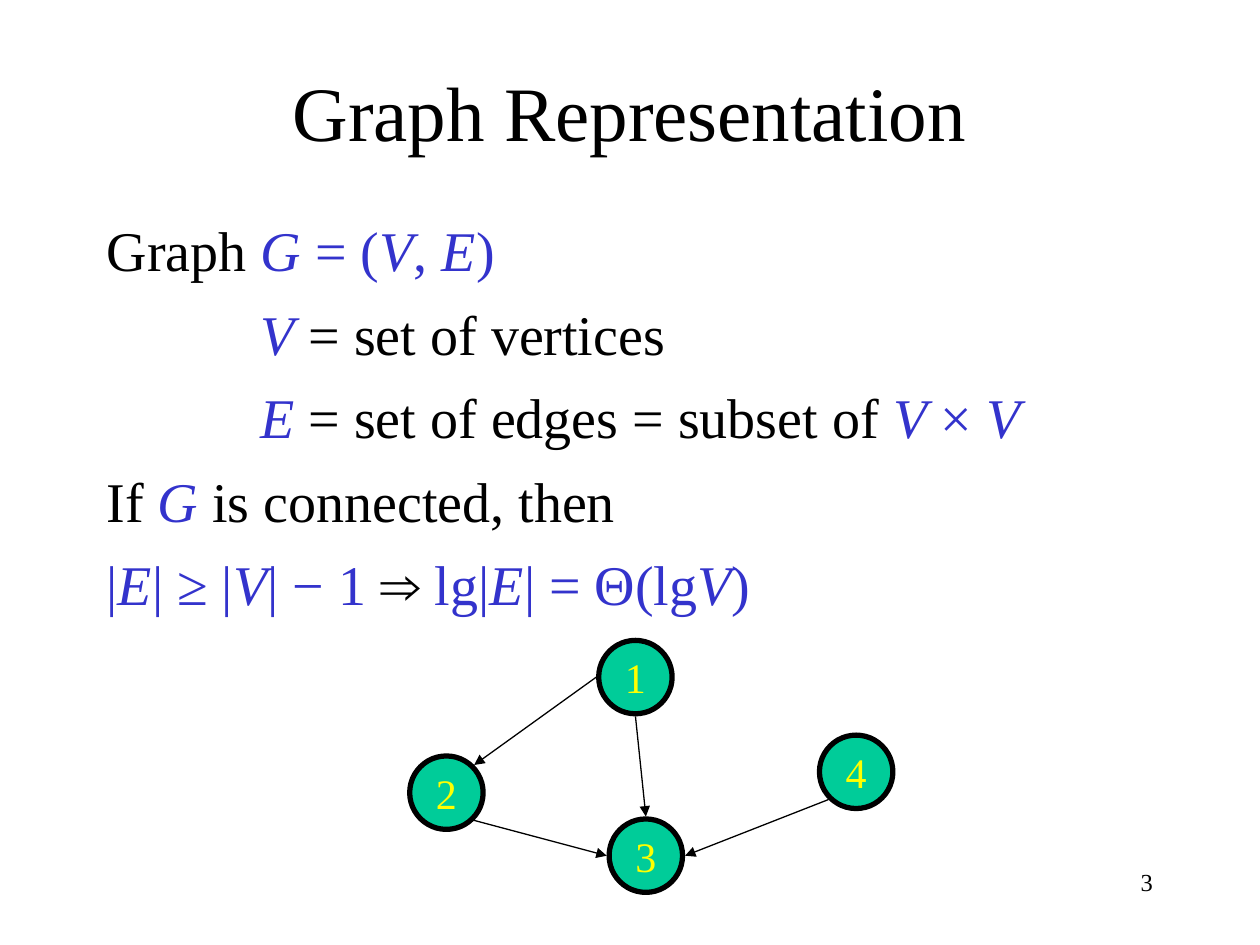
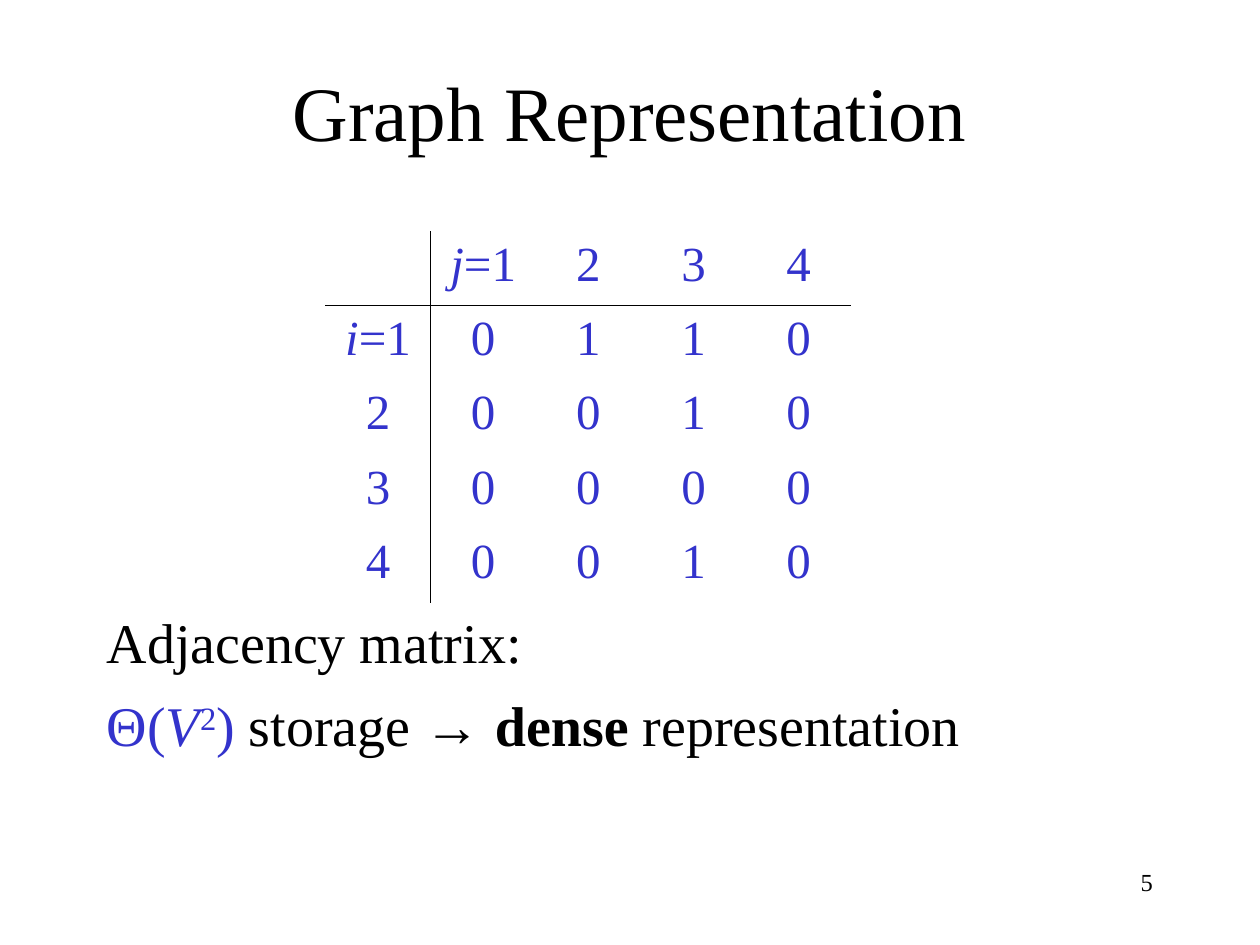
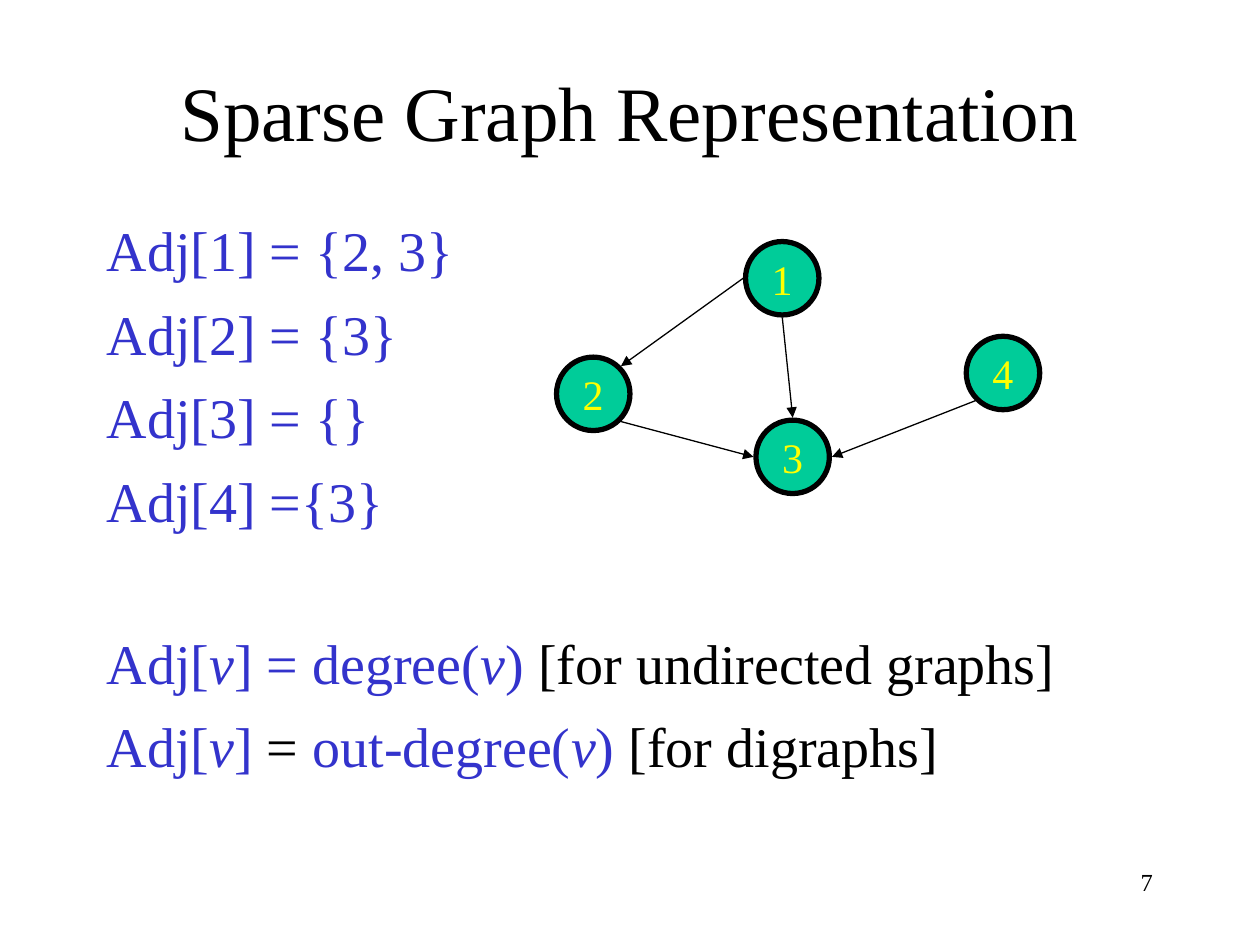
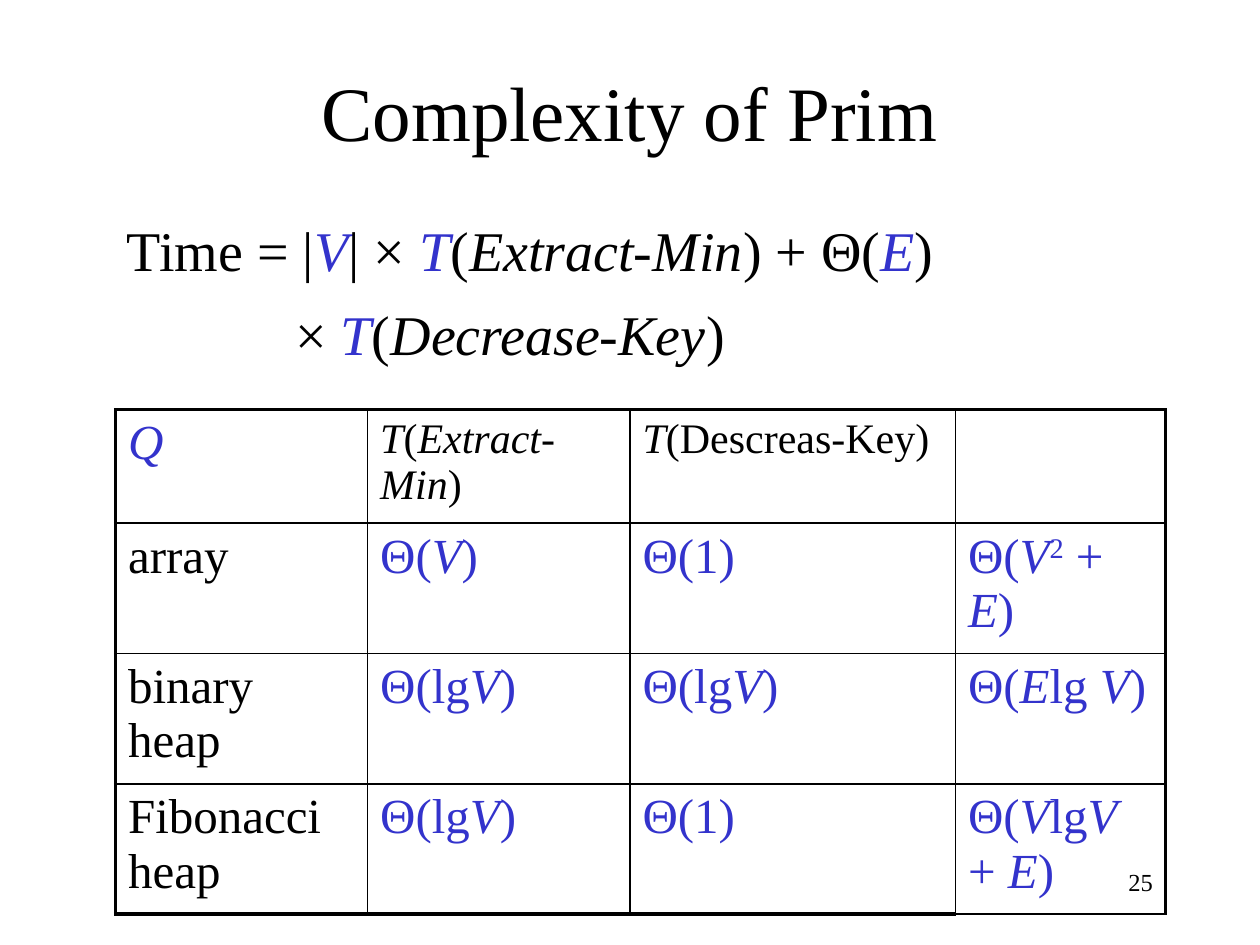
from itertools import groupby
from math import cos, radians, sin

from lxml import etree
from pptx import Presentation
from pptx.dml.color import RGBColor
from pptx.enum.shapes import MSO_CONNECTOR, MSO_SHAPE
from pptx.enum.text import MSO_ANCHOR, PP_ALIGN
from pptx.oxml import parse_xml
from pptx.oxml.ns import nsdecls, qn
from pptx.util import Cm, Pt

FONT = "Times New Roman"
BLACK, BLUE, GREEN, YELLOW = "000000", "3333CC", "00CC99", "FFFF00"
LINE_GAP = 9.3  # points between body lines
SKIPPED_LINE = 54

# Markup in texts: *italic*  ~blue~  #bold#  ^superscript^
# Body line: (text, indent in cm, space before in points)
DEFINITION = [
    ("Graph ~*G* = (*V*, *E*)~", 0, 0),
    ("~*V*~ = set of vertices", 3.1, LINE_GAP),
    ("~*E*~ = set of edges = subset of ~*V *× *V*~", 3.1, LINE_GAP),
    ("If ~*G*~ is connected, then", 0, LINE_GAP),
    ("~|*E*| ≥ |*V*| − 1~ ⇒ ~lg|*E*| = Θ(lg*V*)~", 0, LINE_GAP),
]
STORAGE = [
    ("Adjacency matrix:", 0, 0),
    ("~Θ(*V*^2^)~ storage → #dense# representation", 0, LINE_GAP),
]
ADJACENCY_LISTS = [
    ("~Adj[1] = {2, 3}~", 0, 0),
    ("~Adj[2] = {3}~", 0, LINE_GAP),
    ("~Adj[3] = {}~", 0, LINE_GAP),
    ("~Adj[4] ={3}~", 0, LINE_GAP),
    ("~Adj[*v*] = degree(*v*)~ [for undirected graphs]", 0, SKIPPED_LINE),
    ("~Adj[*v*]~ = ~out-degree(*v*)~ [for digraphs]", 0, LINE_GAP),
]
PRIM_TIME = [
    ("Time = |~*V*~| × ~*T*~(*Extract-Min*) + Θ(~*E*~)", 0, 0),
    ("× ~*T*~(*Decrease-Key*)", 3.39, LINE_GAP),
]

# Node offsets from node 1; edges run from (node, side) to (node, side)
NODES = {"1": (0, 0), "3": (0.21, 3.6), "2": (-3.81, 2.33), "4": (4.45, 1.91)}
EDGES = [("1", "W", "2", "NE"), ("2", "SE", "3", "W"),
         ("1", "S", "3", "N"), ("4", "SW", "3", "E")]
SIDE_ANGLES = {side: 45 * i for i, side in
               enumerate(["E", "SE", "S", "SW", "W", "NW", "N", "NE"])}
NODE_SIZE, EDGE_REACH = 1.48, 0.79

MATRIX = [
    ["", "*j*=1", "2", "3", "4"],
    ["*i*=1", "0", "1", "1", "0"],
    ["2", "0", "0", "1", "0"],
    ["3", "0", "0", "0", "0"],
    ["4", "0", "0", "1", "0"],
]
QUEUES = [
    ["~*Q*~", "*T*(*Extract-Min*)", "*T*(Descreas-Key)", ""],
    ["array", "~Θ(*V*)~", "~Θ(1)~", "~Θ(*V*^2^ + *E*)~"],
    ["binary heap", "~Θ(lg*V*)~", "~Θ(lg*V*)~", "~Θ(*E*lg *V*)~"],
    ["Fibonacci heap", "~Θ(lg*V*)~", "~Θ(1)~", "~Θ(*V*lg*V *+ *E*)~"],
]


def rgb(code):
    return RGBColor.from_string(code)


def styled_pieces(text):
    """Yield (piece, active marks) for marked-up text."""
    active, letters = frozenset(), []
    for letter in text:
        if letter in "*~#^":
            active = active ^ {letter}
        else:
            letters.append((letter, active))
    for marks, group in groupby(letters, key=lambda item: item[1]):
        yield "".join(letter for letter, _ in group), marks


def write(paragraph, text, size=32, color=BLACK, align=PP_ALIGN.LEFT,
          indent=0, before=0):
    paragraph.alignment = align
    paragraph.space_before = Pt(before)
    if indent:
        paragraph._p.get_or_add_pPr().set("marL", str(Cm(indent)))
    for piece, marks in styled_pieces(text):
        run = paragraph.add_run()
        run.text = piece
        font = run.font
        font.name, font.size = FONT, Pt(size)
        font.color.rgb = rgb(BLUE if "~" in marks else color)
        font.italic, font.bold = "*" in marks, "#" in marks
        if "^" in marks:
            run._r.get_or_add_rPr().set("baseline", "30000")


def add_text(slide, box, lines, anchor=MSO_ANCHOR.TOP, **style):
    frame = slide.shapes.add_textbox(*map(Cm, box)).text_frame
    frame.word_wrap, frame.vertical_anchor = True, anchor
    for i, (text, indent, before) in enumerate(lines):
        paragraph = frame.add_paragraph() if i else frame.paragraphs[0]
        write(paragraph, text, indent=indent, before=before, **style)


def add_slide(deck, title, number, body, left=1.9, top=4.23):
    slide = deck.slides.add_slide(deck.slide_layouts[6])
    add_text(slide, (18.2, 17.36, 5.29, 1.27), [(number, 0, 0)],
             size=14, align=PP_ALIGN.RIGHT)
    add_text(slide, (1.9, 0.64, 21.59, 3.18), [(title, 0, 0)],
             anchor=MSO_ANCHOR.MIDDLE, size=44, align=PP_ALIGN.CENTER)
    add_text(slide, (left, top, 21.59, 16.93 - top), body)
    return slide


def add_graph(slide, left, top):
    for label, (dx, dy) in NODES.items():
        node = slide.shapes.add_shape(
            MSO_SHAPE.OVAL, Cm(left + dx), Cm(top + dy), Cm(NODE_SIZE), Cm(NODE_SIZE))
        node.shadow.inherit = False
        node.fill.solid()
        node.fill.fore_color.rgb = rgb(GREEN)
        node.line.color.rgb, node.line.width = rgb(BLACK), Pt(3)
        frame = node.text_frame
        frame.word_wrap, frame.vertical_anchor = False, MSO_ANCHOR.MIDDLE
        write(frame.paragraphs[0], label, size=24, color=YELLOW, align=PP_ALIGN.CENTER)

    def edge_end(label, side):
        dx, dy = NODES[label]
        angle = radians(SIDE_ANGLES[side])
        return (Cm(left + dx + NODE_SIZE / 2 + EDGE_REACH * cos(angle)),
                Cm(top + dy + NODE_SIZE / 2 + EDGE_REACH * sin(angle)))

    for source, source_side, target, target_side in EDGES:
        edge = slide.shapes.add_connector(
            MSO_CONNECTOR.STRAIGHT, *edge_end(source, source_side),
            *edge_end(target, target_side))
        edge.line.color.rgb, edge.line.width = rgb(BLACK), Pt(0.75)
        etree.SubElement(edge.line._get_or_add_ln(), qn("a:tailEnd"), type="triangle")
        etree.SubElement(edge._element.spPr, qn("a:effectLst"))


def set_borders(cell, widths):
    """Draw the sides in widths (L, R, T, B to points) and clear the others."""
    properties = cell._tc.get_or_add_tcPr()
    for side in "LRTB":
        width = widths.get(side, 0)
        paint = (f'<a:solidFill><a:srgbClr val="{BLACK}"/></a:solidFill>'
                 if width else "<a:noFill/>")
        properties.append(parse_xml(
            f'<a:ln{side} {nsdecls("a")} w="{Pt(width)}">{paint}</a:ln{side}>'))


def add_grid(slide, left, top, rows, widths, heights, borders, sizes, **style):
    """Add a table; borders and sizes are functions of row and column."""
    table = slide.shapes.add_table(
        len(rows), len(widths), Cm(left), Cm(top),
        Cm(sum(widths)), Cm(sum(heights))).table
    table.first_row = table.horz_banding = False
    for column, width in zip(table.columns, widths):
        column.width = Cm(width)
    for r, (row, height) in enumerate(zip(rows, heights)):
        table.rows[r].height = Cm(height)
        for c, text in enumerate(row):
            cell = table.cell(r, c)
            set_borders(cell, borders(r, c))
            cell.fill.background()
            write(cell.text_frame.paragraphs[0], text, size=sizes(r, c), **style)


def matrix_borders(r, c):
    """Rule off the header row and the header column only."""
    return {"R": int(c == 0), "L": int(c == 1), "B": int(r == 0), "T": int(r == 1)}


def queue_borders(r, c):
    """Thin grid in a thick frame, except below the last cell."""
    last_row, last_column = len(QUEUES) - 1, len(QUEUES[0]) - 1
    thick = {"L": c == 0, "R": c == last_column, "T": r == 0,
             "B": r == last_row and c < last_column}
    return {side: 2.25 if is_thick else 1 for side, is_thick in thick.items()}


def main():
    deck = Presentation()
    deck.slide_width, deck.slide_height = Cm(25.4), Cm(19.05)

    definition = add_slide(deck, "Graph Representation", "3", DEFINITION)
    add_graph(definition, 12.07, 12.91)

    matrix = add_slide(deck, "Graph Representation", "5", STORAGE, top=12.12)
    add_grid(matrix, 6.56, 4.66, MATRIX, [2.12] * 5, [1.5] * 5, matrix_borders,
             lambda r, c: 28, color=BLUE, align=PP_ALIGN.CENTER)

    sparse = add_slide(deck, "Sparse Graph Representation", "7", ADJACENCY_LISTS)
    add_graph(sparse, 15.03, 4.87)

    prim = add_slide(deck, "Complexity of Prim", "25", PRIM_TIME, left=2.31)
    add_grid(prim, 2.33, 8.26, QUEUES, [5.08, 5.29, 6.56, 4.23],
             [2.13, 2.44, 2.44, 2.44], queue_borders,
             lambda r, c: 24 if r == 0 and c else 28)

    deck.save("out.pptx")


if __name__ == "__main__":
    main()
